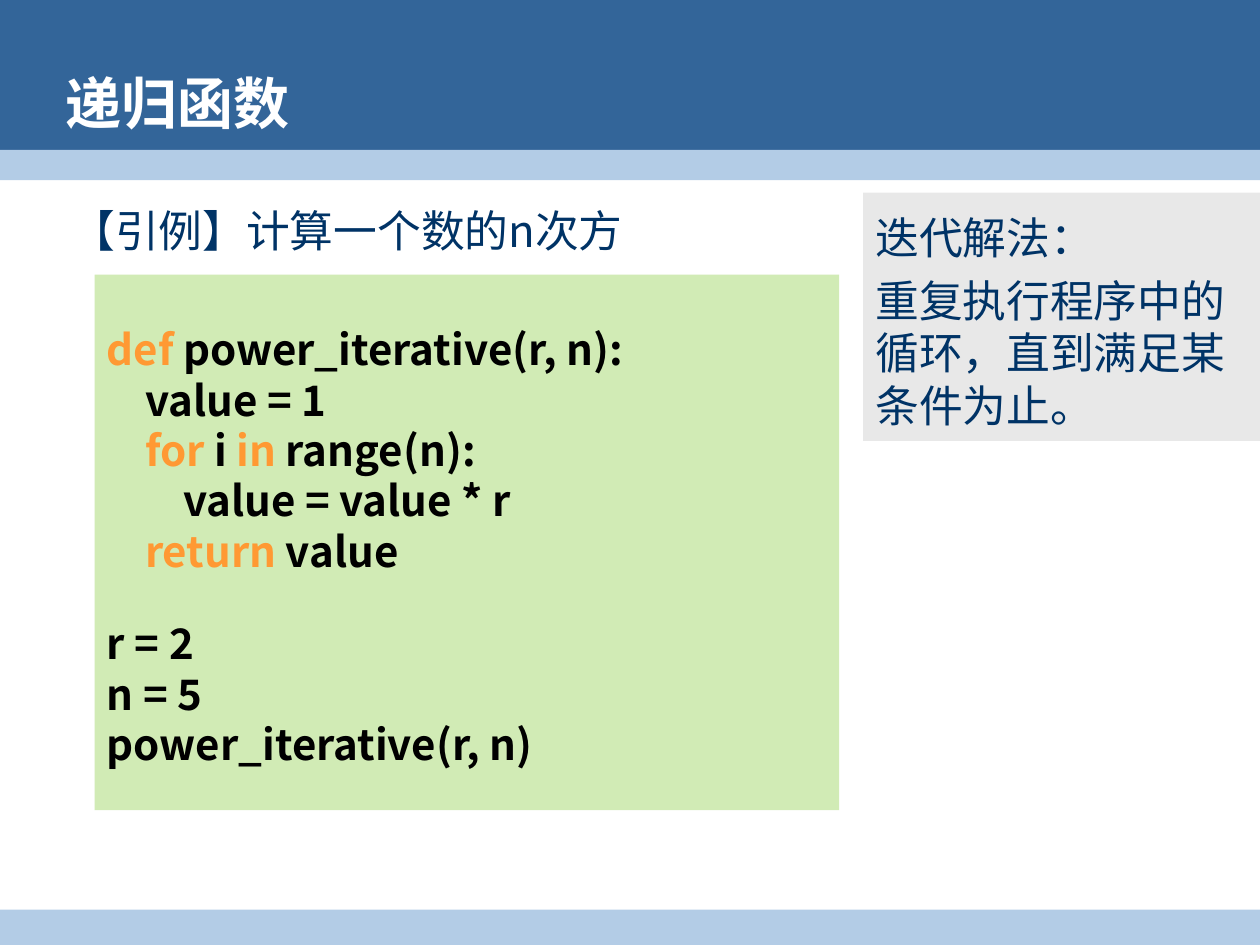
from lxml import etree
from pptx import Presentation
from pptx.dml.color import RGBColor
from pptx.enum import shapes, text
from pptx.oxml.ns import qn
from pptx.util import Inches, Pt

NAVY = RGBColor(0x00, 0x33, 0x66)
BLUE = RGBColor(0x33, 0x65, 0x99)
PALE_BLUE = RGBColor(0xB3, 0xCC, 0xE6)
GREEN = RGBColor(0x92, 0xD0, 0x50)
GREY = RGBColor(0xD9, 0xD9, 0xD9)
ORANGE = RGBColor(0xFF, 0x99, 0x33)
BLACK = RGBColor(0, 0, 0)
WHITE = RGBColor(0xFF, 0xFF, 0xFF)
SC, KR = "Noto Sans CJK SC", "Noto Sans CJK KR"

# Each code line is a list of pieces; keywords are coloured
KEYWORDS = {"def", "for", "in", "return"}
CODE = [
    ["def", " power_iterative(r, n):"],
    ["    value = 1"],
    ["    ", "for", " i ", "in", " range(n):"],
    ["        value = value * r"],
    ["    ", "return", " value"],
    ["r = 2"],
    ["n = 5"],
    ["power_iterative(r, n)"],
]


def add_run(p, words, size=25, color=NAVY, bold=False, font=SC, east_font=None):
    r = p.add_run()
    r.text = words
    r.font.size, r.font.bold, r.font.name = Pt(size), bold, font
    r.font.color.rgb = color
    ea = etree.SubElement(r._r.get_or_add_rPr(), qn("a:ea"))
    ea.set("typeface", east_font or font)


def add_paragraph(tf, first, line=30, before=0, after=0):
    p = tf.paragraphs[0] if first else tf.add_paragraph()
    p.alignment = text.PP_ALIGN.LEFT
    p.line_spacing = Pt(line)
    p.space_before, p.space_after = Pt(before), Pt(after)
    return p


def add_box(s, box, color, opacity=100):
    sp = s.shapes.add_shape(shapes.MSO_SHAPE.RECTANGLE, *map(Inches, box))
    sp.shadow.inherit = False
    sp.line.fill.background()
    sp.fill.solid()
    sp.fill.fore_color.rgb = color
    if opacity < 100:
        fill = sp._element.spPr.find(qn("a:solidFill"))
        etree.SubElement(fill[0], qn("a:alpha")).set("val", str(opacity * 1000))
    tf = sp.text_frame
    tf.word_wrap = True
    tf.vertical_anchor = text.MSO_ANCHOR.MIDDLE
    tf.margin_top = Inches(0.11)
    return tf


def add_bands(s):
    add_box(s, (0, 0, 10, 1.31), BLUE)
    add_box(s, (0, 1.19, 10, 0.24), PALE_BLUE)
    add_box(s, (0, 7.22, 10, 0.28), PALE_BLUE)


def add_title(s, box):
    title = s.shapes.title
    s.shapes._spTree.append(title._element)  # in front of the bands
    title.left, title.top, title.width, title.height = map(Inches, box)
    tf = title.text_frame
    tf.vertical_anchor = text.MSO_ANCHOR.MIDDLE
    p = tf.paragraphs[0]
    p.alignment = text.PP_ALIGN.LEFT
    add_run(p, "递归函数", size=32, color=WHITE, bold=True, font="Arial", east_font=SC)


def add_example(s, box):
    tf = s.shapes.add_textbox(*map(Inches, box)).text_frame
    tf.word_wrap = True
    tf.margin_top = Inches(0.09)
    add_run(add_paragraph(tf, True), "【引例】计算一个数的n次方")


def add_code(s, box):
    tf = add_box(s, box, GREEN, opacity=42)
    for i, pieces in enumerate(CODE):
        # The main program is set apart from the function
        p = add_paragraph(tf, i == 0, line=28.8, before=24 if pieces == ["r = 2"] else 0)
        for piece in pieces:
            color = ORANGE if piece in KEYWORDS else BLACK
            add_run(p, piece, size=24, color=color, bold=True, font=KR)


def add_remark(s, box):
    tf = add_box(s, box, GREY, opacity=58)
    add_run(add_paragraph(tf, True, after=6), "迭代解法：")
    add_run(add_paragraph(tf, False), "重复执行程序中的循环，直到满足某条件为止。")


def main():
    prs = Presentation()
    prs.slide_width, prs.slide_height = Inches(10), Inches(7.5)
    s = prs.slides.add_slide(prs.slide_layouts[5])
    add_bands(s)
    add_example(s, (0.47, 1.53, 9, 5.23))
    add_title(s, (0.42, 0.52, 9.06, 0.58))
    add_code(s, (0.75, 2.18, 5.91, 4.25))
    add_remark(s, (6.85, 1.53, 3.15, 1.97))
    prs.save("out.pptx")


if __name__ == "__main__":
    main()
